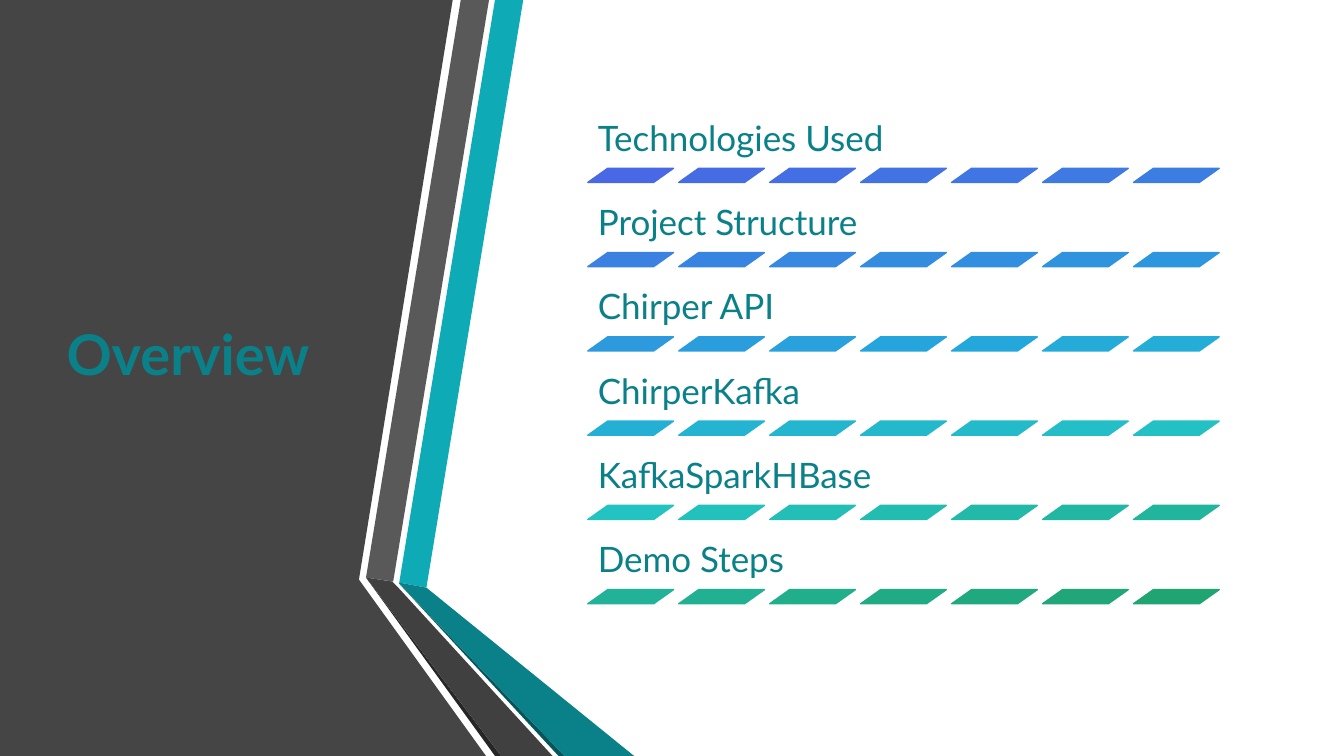
from pptx import Presentation
from pptx.dml.color import RGBColor
from pptx.enum.shapes import MSO_SHAPE
from pptx.enum.text import MSO_ANCHOR, MSO_AUTO_SIZE, PP_ALIGN
from pptx.oxml import parse_xml
from pptx.oxml.ns import nsdecls
from pptx.util import Inches, Pt

WIDTH, HEIGHT = 13.33, 7.5
FONT = "Lato"
COLOURS = {
    "panel": "454545",
    "teal": "0EABB7",
    "teal_dark": "0A8089",
    "teal_edge": "07555C",
    "grey": "595959",
    "grey_dark": "404040",
    "grey_edge": "262626",
}
TOPICS = ["Technologies Used", "Project Structure", "Chirper API",
          "ChirperKafka", "KafkaSparkHBase", "Demo Steps"]

# Grid of dashes: one row under each topic
GRID_LEFT, GRID_TOP = 5.83, 1.67
COLUMN, ROW = 0.902, 0.836
COLUMNS = 7
DASH_WIDTH, DASH_HEIGHT = 0.85, 0.14
TEXT_INSET = 0.1

# Colour stops by dash number, blended in between
DASH_STOPS = [(0, "4868E5"), (18, "24A8DB"), (28, "23C3C2"), (41, "20A472")]

# Folded ribbon, from back to front
RIBBON = [
    ("teal", [(3.96, 5.78), (4.23, 5.83), (5.19, 0), (4.91, 0)]),
    ("grey", [(4.85, 0), (4.57, 0), (3.63, 5.73), (3.9, 5.77)]),
    ("grey_edge", [(3.63, 5.73), (4.91, HEIGHT), (4.97, HEIGHT)]),
    ("teal_edge", [(3.96, 5.79), (5.54, HEIGHT), (5.6, HEIGHT)]),
    ("teal_dark", [(3.96, 5.79), (5.6, HEIGHT), (6.29, HEIGHT),
                   (4.23, 5.83), (3.96, 5.78)]),
    ("grey_dark", [(5.48, HEIGHT), (3.95, 5.83), (3.89, 5.77),
                   (3.63, 5.73), (4.97, HEIGHT)]),
]
PANEL = [(0, 0), (4.49, 0), (3.56, 5.75), (4.82, HEIGHT), (0, HEIGHT)]


def paint(shape, colour):
    shape.shadow.inherit = False
    shape.fill.solid()
    shape.fill.fore_color.rgb = RGBColor.from_string(colour)


def add_polygon(shapes, points, colour):
    corners = [(Inches(x), Inches(y)) for x, y in points]
    builder = shapes.build_freeform(*corners[0])
    builder.add_line_segments(corners[1:], close=True)
    polygon = builder.convert_to_shape()
    paint(polygon, colour)
    polygon.line.fill.background()


def dash_colour(number):
    for (start, first), (end, last) in zip(DASH_STOPS, DASH_STOPS[1:]):
        if number <= end:
            share = (number - start) / (end - start)
            pairs = zip(RGBColor.from_string(first), RGBColor.from_string(last))
            return "".join(f"{round(a + (b - a) * share):02X}" for a, b in pairs)


def add_dash(shapes, row, column):
    dash = shapes.add_shape(
        MSO_SHAPE.PARALLELOGRAM,
        Inches(GRID_LEFT + column * COLUMN), Inches(GRID_TOP + row * ROW),
        Inches(DASH_WIDTH), Inches(DASH_HEIGHT))
    dash.adjustments[0] = 1.408
    colour = dash_colour(row * COLUMNS + column)
    paint(dash, colour)
    dash.line.color.rgb = RGBColor.from_string(colour)
    dash.line.width = Pt(1)


def fill_placeholder(box, lines, place, size, anchor, align, bold=False, spacing=1.0):
    box.left, box.top, box.width, box.height = map(Inches, place)
    frame = box.text_frame
    frame.text = "\n".join(lines)
    frame.word_wrap = True
    frame.auto_size = MSO_AUTO_SIZE.NONE
    frame.vertical_anchor = anchor
    frame.margin_left = frame.margin_right = 0
    frame.margin_top = frame.margin_bottom = 0
    for para in frame.paragraphs:
        para.alignment = align
        para.line_spacing = spacing
        para.space_before = para.space_after = Pt(0)
        para.font.name = FONT
        para.font.size = Pt(size)
        para.font.bold = bold
        para.font.color.rgb = RGBColor.from_string(COLOURS["teal_dark"])
        # No bullet, no hanging indent
        properties = para._p.get_or_add_pPr()
        properties.set("marL", "0")
        properties.set("indent", "0")
        bullet = parse_xml(f"<a:buNone {nsdecls('a')}/>")
        properties.find("{*}defRPr").addprevious(bullet)
    # Bring the text in front of the artwork
    box._element.getparent().append(box._element)


def main():
    deck = Presentation()
    deck.slide_width, deck.slide_height = Inches(WIDTH), Inches(HEIGHT)
    page = deck.slides.add_slide(deck.slide_layouts[1])

    # Dark panel and ribbon
    add_polygon(page.shapes, PANEL, COLOURS["panel"])
    ribbon = page.shapes.add_group_shape()
    for name, points in RIBBON:
        add_polygon(ribbon.shapes, points, COLOURS[name])

    # Dashed rules
    rules = page.shapes.add_group_shape()
    for row in range(len(TOPICS)):
        for column in range(COLUMNS):
            add_dash(rules.shapes, row, column)

    # Title and topics
    fill_placeholder(page.shapes.title, ["Overview"], (0.66, 3, 2.8, 1), 40,
                     MSO_ANCHOR.MIDDLE, PP_ALIGN.LEFT, bold=True)
    list_top = GRID_TOP - TEXT_INSET - ROW
    fill_placeholder(page.placeholders[1], TOPICS,
                     (GRID_LEFT + TEXT_INSET, list_top, 6.19, ROW * len(TOPICS)), 25,
                     MSO_ANCHOR.BOTTOM, PP_ALIGN.JUSTIFY, spacing=Pt(ROW * 72))

    deck.save("out.pptx")


if __name__ == "__main__":
    main()
